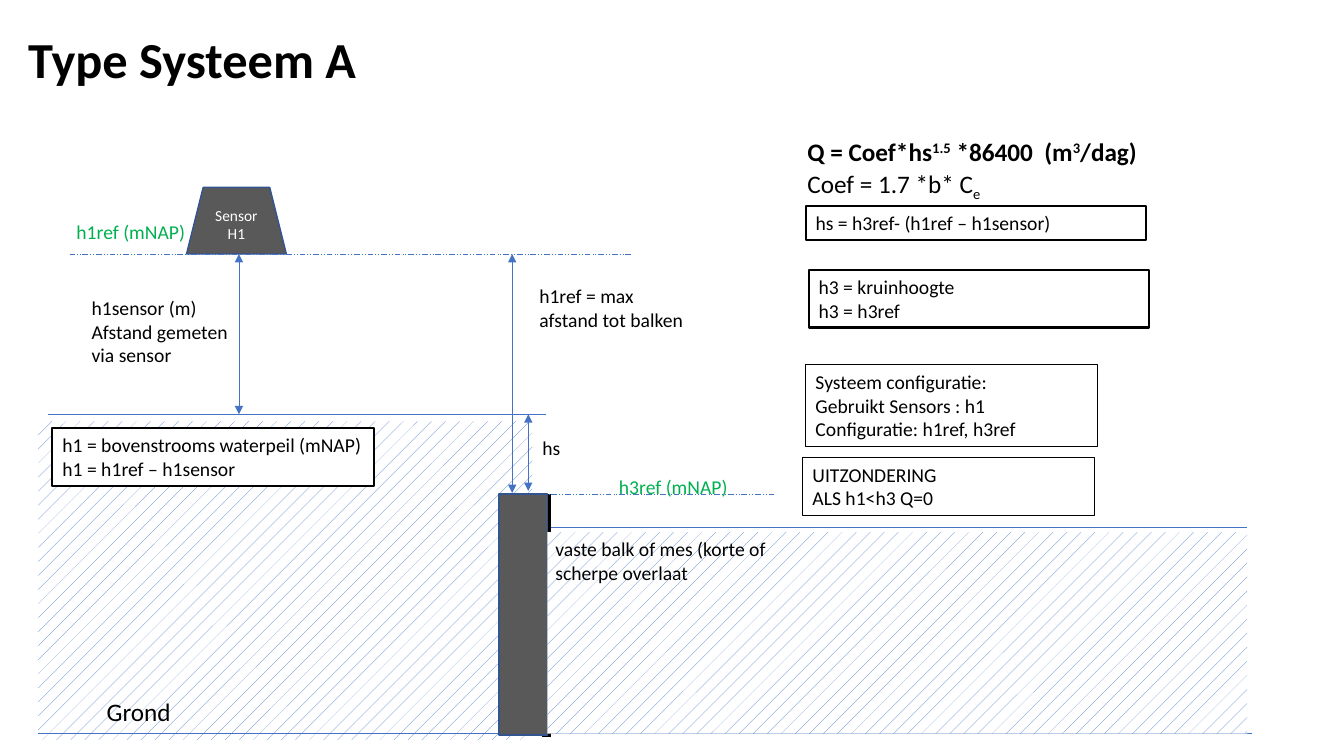
from collections import namedtuple

from lxml.etree import SubElement
from pptx import Presentation
from pptx.dml.color import RGBColor
from pptx.enum.dml import MSO_LINE, MSO_PATTERN
from pptx.enum.shapes import MSO_CONNECTOR, MSO_SHAPE
from pptx.enum.text import MSO_ANCHOR, PP_ALIGN
from pptx.oxml.ns import qn
from pptx.util import Inches, Pt

BLACK = RGBColor(0x00, 0x00, 0x00)
WHITE = RGBColor(0xFF, 0xFF, 0xFF)
BLUE = RGBColor(0x44, 0x72, 0xC4)
EDGE = RGBColor(0x32, 0x54, 0x91)
GREY = RGBColor(0x59, 0x59, 0x59)
GREEN = RGBColor(0x00, 0xB0, 0x50)
FONT = "Calibri"

# All places are columns and rows of a grid with cells of a tenth of an inch
CELL = Inches(0.1)
Box = namedtuple("Box", "x y w h")


def cells(*counts):
    return [round(n * CELL) for n in counts]


def inside(box, x, y, w, h):
    return cells(box.x + x, box.y + y, w, h)


def add_run(p, text, size, color=BLACK, bold=False, baseline=0):
    r = p.add_run()
    r.text = text
    r.font.name = FONT
    r.font.size = Pt(size)
    r.font.bold = bold
    r.font.color.rgb = color
    if baseline:
        r.font._element.set("baseline", str(baseline * 1000))


def write(sp, lines, size=14, color=BLACK, align=PP_ALIGN.LEFT, anchor=MSO_ANCHOR.TOP):
    tf = sp.text_frame
    tf.word_wrap = True
    tf.vertical_anchor = anchor
    for i, line in enumerate(lines):
        p = tf.add_paragraph() if i else tf.paragraphs[0]
        p.alignment = align
        add_run(p, line, size, color)


def add_label(s, place, lines, size=14, color=BLACK):
    write(s.shapes.add_textbox(*place), lines, size, color)


def add_formula(s, place, parts, bold=False, wrap=True):
    tf = s.shapes.add_textbox(*place).text_frame
    tf.word_wrap = wrap
    for text, baseline in parts:
        add_run(tf.paragraphs[0], text, 18, bold=bold, baseline=baseline)


def add_solid(s, kind, place, fill, line, width):
    sp = s.shapes.add_shape(kind, *place)
    sp.shadow.inherit = False
    sp.fill.solid()
    sp.fill.fore_color.rgb = fill
    sp.line.color.rgb = line
    sp.line.width = Pt(width)
    return sp


def add_framed(s, place, lines, width):
    write(add_solid(s, MSO_SHAPE.RECTANGLE, place, WHITE, BLACK, width), lines)


def add_water(s, place):
    sp = s.shapes.add_shape(MSO_SHAPE.RECTANGLE, *place)
    sp.shadow.inherit = False
    sp.fill.patterned()
    sp.fill.pattern = MSO_PATTERN.PERCENT_5
    sp.fill.fore_color.rgb = BLUE
    sp.fill.back_color.rgb = WHITE
    sp.line.fill.background()


def add_line(s, box, x1, y1, x2, y2, color=BLUE, width=0.5, dash=None, arrows=False):
    ends = cells(box.x + x1, box.y + y1, box.x + x2, box.y + y2)
    c = s.shapes.add_connector(MSO_CONNECTOR.STRAIGHT, *ends)
    c.line.color.rgb = color
    c.line.width = Pt(width)
    if dash:
        c.line.dash_style = dash
    if arrows:
        ln = c.line._get_or_add_ln()
        for end in ("a:headEnd", "a:tailEnd"):
            SubElement(ln, qn(end)).set("type", "triangle")
    SubElement(c._element.spPr, qn("a:effectLst"))


def build_title(s, box, text):
    title = s.shapes.title
    title.left, title.top, title.width, title.height = inside(box, 0, 0, box.w, box.h)
    tf = title.text_frame
    tf.vertical_anchor = MSO_ANCHOR.MIDDLE
    p = tf.paragraphs[0]
    p.alignment = PP_ALIGN.LEFT
    p.line_spacing = 0.9
    add_run(p, text, 36, bold=True)


def build_weir_section(s, box):
    # Levels, as rows below the top of the box
    sensor, water, crest, tail, bed = 6.6, 22.5, 30.4, 33.7, 54.2
    weir_x, weir_w = 45.7, 4.8
    weir_right = weir_x + weir_w

    # Water, bed and weir
    add_water(s, inside(box, 0, water + 0.7, 49, 31.6))
    add_line(s, box, 1, water, weir_right - 0.1, water)
    add_line(s, box, weir_right - 0.1, tail, box.w - 0.5, tail)
    add_line(s, box, 0, bed, box.w, bed)
    add_line(s, box, weir_right - 0.1, crest, weir_right - 0.1, box.h, BLACK, 6)
    add_solid(s, MSO_SHAPE.RECTANGLE,
              inside(box, weir_x, crest, weir_w, bed - crest + 0.1), GREY, EDGE, 1)
    add_water(s, inside(box, weir_right, tail + 0.5, 69.4, 20))

    # Sensor and reference levels
    sp = add_solid(s, MSO_SHAPE.TRAPEZOID, inside(box, 14.7, 0, 9.9, sensor), GREY, EDGE, 1)
    write(sp, ["Sensor", "H1"], 11, WHITE, PP_ALIGN.CENTER, MSO_ANCHOR.MIDDLE)
    for left, right, level in ((3.1, 58.8, sensor), (weir_right, 73, crest)):
        add_line(s, box, right, level, left, level, dash=MSO_LINE.DASH_DOT_DOT)

    # Measured heights
    for x, top, bottom in ((19.9, sensor, water), (47, sensor, crest - 0.1),
                           (48.6, water, crest - 0.3)):
        add_line(s, box, x, top, x, bottom, arrows=True)

    # Labels
    add_label(s, inside(box, 5.8, 50, 28.2, 4), ["Grond"], 18)
    for x, y, w, h, lines in (
        (4.3, 10.3, 16.8, 8.1, ["h1sensor (m)", "Afstand gemeten via sensor"]),
        (48.7, 9.1, 16.8, 5.7, ["h1ref = max afstand tot balken"]),
        (50.3, 34.2, 29, 5.7, ["vaste balk of mes (korte of scherpe overlaat"]),
        (49, 24.2, 4.8, 3.4, ["hs"]),
    ):
        add_label(s, inside(box, x, y, w, h), lines)
    for x, y, text in ((2.8, 2.7, "h1ref (mNAP)"), (56.6, 28, "h3ref (mNAP)")):
        add_label(s, inside(box, x, y, 19.8, 3.4), [text], color=GREEN)
    add_framed(s, inside(box, 1.4, 23.9, 31.9, 5.7),
               ["h1 = bovenstrooms waterpeil (mNAP)", "h1 = h1ref – h1sensor"], 1.5)


def build_formulas(s, box):
    # Discharge formula and coefficient
    add_formula(s, inside(box, 0, 0, 35.4, 4),
                [("Q = Coef*hs", 0), ("1.5", 30), (" *86400  (m", 0), ("3", 30), ("/dag)", 0)],
                bold=True, wrap=False)
    add_formula(s, inside(box, 0, 3.2, box.w, 4), [("Coef = 1.7 *b* C", 0), ("e", -25)])

    # Framed notes
    for x, y, w, h, width, lines in (
        (0.8, 7.4, 33.8, 3.4, 1.5, ["hs = h3ref- (h1ref – h1sensor)"]),
        (1.1, 13.8, 33.8, 5.7, 1.5, ["h3 = kruinhoogte", "h3 = h3ref"]),
        (0.8, 23.2, 29, 8.1, 0.75, ["Systeem configuratie:", "Gebruikt Sensors : h1",
                                    "Configuratie: h1ref, h3ref"]),
        (0.5, 32.4, 29, 5.7, 0.75, ["UITZONDERING", "ALS h1<h3 Q=0"]),
    ):
        add_framed(s, inside(box, x, y, w, h), lines, width)


def main():
    prs = Presentation()
    prs.slide_width, prs.slide_height = Inches(13.33), Inches(7.5)
    s = prs.slides.add_slide(prs.slide_layouts[5])
    build_title(s, Box(1.8, 1.8, 121, 8.7), "Type Systeem A")
    build_weir_section(s, Box(3.8, 18.6, 120.4, 54.5))
    build_formulas(s, Box(79.1, 13, 54.2, 38.1))
    prs.save("out.pptx")


if __name__ == "__main__":
    main()
